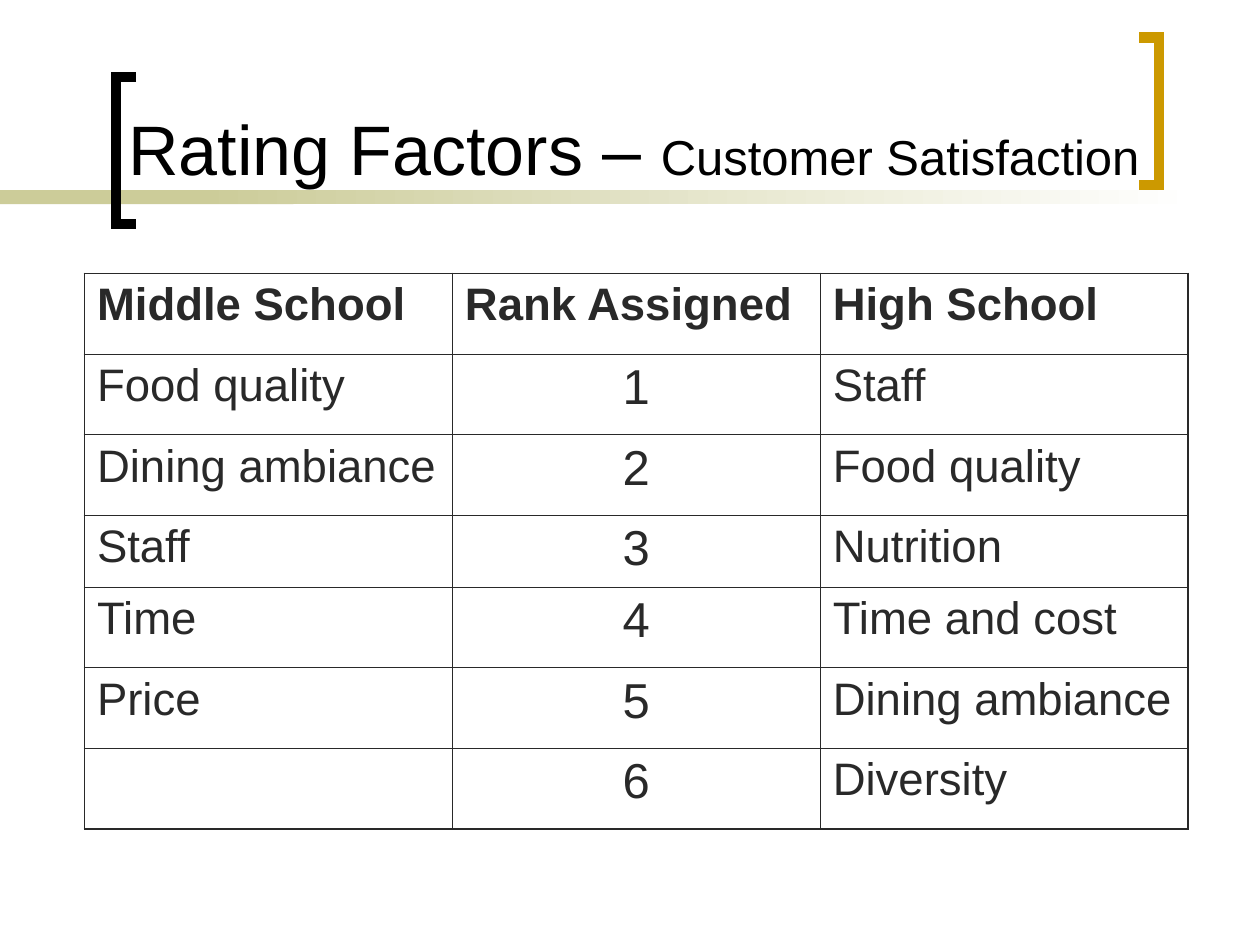
from lxml.etree import SubElement
from pptx import Presentation
from pptx.dml.color import RGBColor
from pptx.enum.shapes import MSO_SHAPE
from pptx.enum.text import MSO_ANCHOR, PP_ALIGN
from pptx.oxml.ns import qn
from pptx.util import Inches, Pt

BLACK = RGBColor(0x00, 0x00, 0x00)
WHITE = RGBColor(0xFF, 0xFF, 0xFF)
OLIVE = RGBColor(0xCC, 0xCC, 0x99)
GOLD = RGBColor(0xCC, 0x99, 0x00)
CHARCOAL = RGBColor(0x29, 0x29, 0x29)
FONT = "Arial"
THIN, THICK = Pt(0.45), Pt(1.08)

RATINGS = [
    ("Middle School", "Rank Assigned", "High School"),
    ("Food quality", "1", "Staff"),
    ("Dining ambiance", "2", "Food quality"),
    ("Staff", "3", "Nutrition"),
    ("Time", "4", "Time and cost"),
    ("Price", "5", "Dining ambiance"),
    ("", "6", "Diversity"),
]
ROW_HEIGHTS = [0.64, 0.64, 0.64, 0.57, 0.64, 0.64, 0.64]
COLUMN_WIDTH = 2.92


def add_band(slide, left, width, end_color=None):
    """Add a piece of the olive band, fading to end_color when given."""
    shape = slide.shapes.add_shape(
        MSO_SHAPE.RECTANGLE, Inches(left), Inches(1.51), Inches(width), Inches(0.11))
    shape.shadow.inherit = False
    shape.line.fill.background()
    if end_color is None:
        shape.fill.solid()
        shape.fill.fore_color.rgb = OLIVE
        return
    shape.fill.gradient()
    shape.fill.gradient_angle = 0
    for stop, color in zip(shape.fill.gradient_stops, (OLIVE, end_color)):
        stop.color.rgb = color


def add_bracket(slide, tip, spine, top, color):
    """Add an open square bracket from its tip and spine positions."""
    bottom = top + 1.17
    builder = slide.shapes.build_freeform(Inches(tip), Inches(top), scale=1.0)
    corners = [(spine, top), (spine, bottom), (tip, bottom)]
    builder.add_line_segments([(Inches(x), Inches(y)) for x, y in corners], close=False)
    shape = builder.convert_to_shape()
    shape.shadow.inherit = False
    shape.fill.background()
    shape.line.color.rgb = color
    shape.line.width = Pt(6)
    SubElement(shape.line._get_or_add_ln(), qn("a:miter"), lim="800000")


def add_title(slide):
    """Add the title with its smaller second part."""
    frame = slide.shapes.add_textbox(
        Inches(0.92), Inches(0), Inches(8.31), Inches(1.55)).text_frame
    frame.word_wrap = True
    frame.vertical_anchor = MSO_ANCHOR.BOTTOM
    paragraph = frame.paragraphs[0]
    paragraph.font.name = FONT
    paragraph.font.color.rgb = BLACK
    for text, size in (("Rating Factors – ", 40), ("Customer Satisfaction", 28)):
        run = paragraph.add_run()
        run.text = text
        run.font.size = Pt(size)


def set_borders(cell, widths):
    """Draw the left, right, top and bottom borders of a cell."""
    properties = cell._tc.get_or_add_tcPr()
    for side, width in zip("LRTB", widths):
        line = SubElement(properties, qn(f"a:ln{side}"), w=str(width))
        fill = SubElement(line, qn("a:solidFill"))
        SubElement(fill, qn("a:srgbClr"), val=str(CHARCOAL))


def fill_cell(cell, text, is_header, is_rank):
    """Write and format the text of one cell."""
    cell.fill.background()
    cell.text = text
    paragraph = cell.text_frame.paragraphs[0]
    paragraph.alignment = PP_ALIGN.CENTER if is_rank else PP_ALIGN.LEFT
    paragraph.font.name = FONT
    paragraph.font.size = Pt(28 if is_rank else 26)
    paragraph.font.bold = is_header
    paragraph.font.color.rgb = CHARCOAL


def add_ratings_table(slide):
    """Add the ranking table with a thicker outer border."""
    last_row, last_column = len(RATINGS) - 1, len(RATINGS[0]) - 1
    table = slide.shapes.add_table(
        len(RATINGS), len(RATINGS[0]), Inches(0.67), Inches(2.17),
        Inches(COLUMN_WIDTH * len(RATINGS[0])), Inches(sum(ROW_HEIGHTS))).table
    table.first_row = False
    table.horz_banding = False
    for column in table.columns:
        column.width = Inches(COLUMN_WIDTH)
    for row, height in zip(table.rows, ROW_HEIGHTS):
        row.height = Inches(height)
    for r, texts in enumerate(RATINGS):
        for c, text in enumerate(texts):
            cell = table.cell(r, c)
            outer = (c == 0, c == last_column, r == 0, r == last_row)
            set_borders(cell, [THICK if edge else THIN for edge in outer])
            fill_cell(cell, text, is_header=r == 0, is_rank=r > 0 and c == 1)


def main():
    """Build and save the slide."""
    presentation = Presentation()
    presentation.slide_width = Inches(10)
    presentation.slide_height = Inches(7.5)
    slide = presentation.slides.add_slide(presentation.slide_layouts[6])
    add_band(slide, 0, 2.33)
    add_band(slide, 1.58, 7.92, WHITE)
    add_bracket(slide, 1.08, 0.92, 0.61, BLACK)
    add_bracket(slide, 9.04, 9.2, 0.3, GOLD)
    add_title(slide)
    add_ratings_table(slide)
    presentation.save("out.pptx")


if __name__ == "__main__":
    main()
